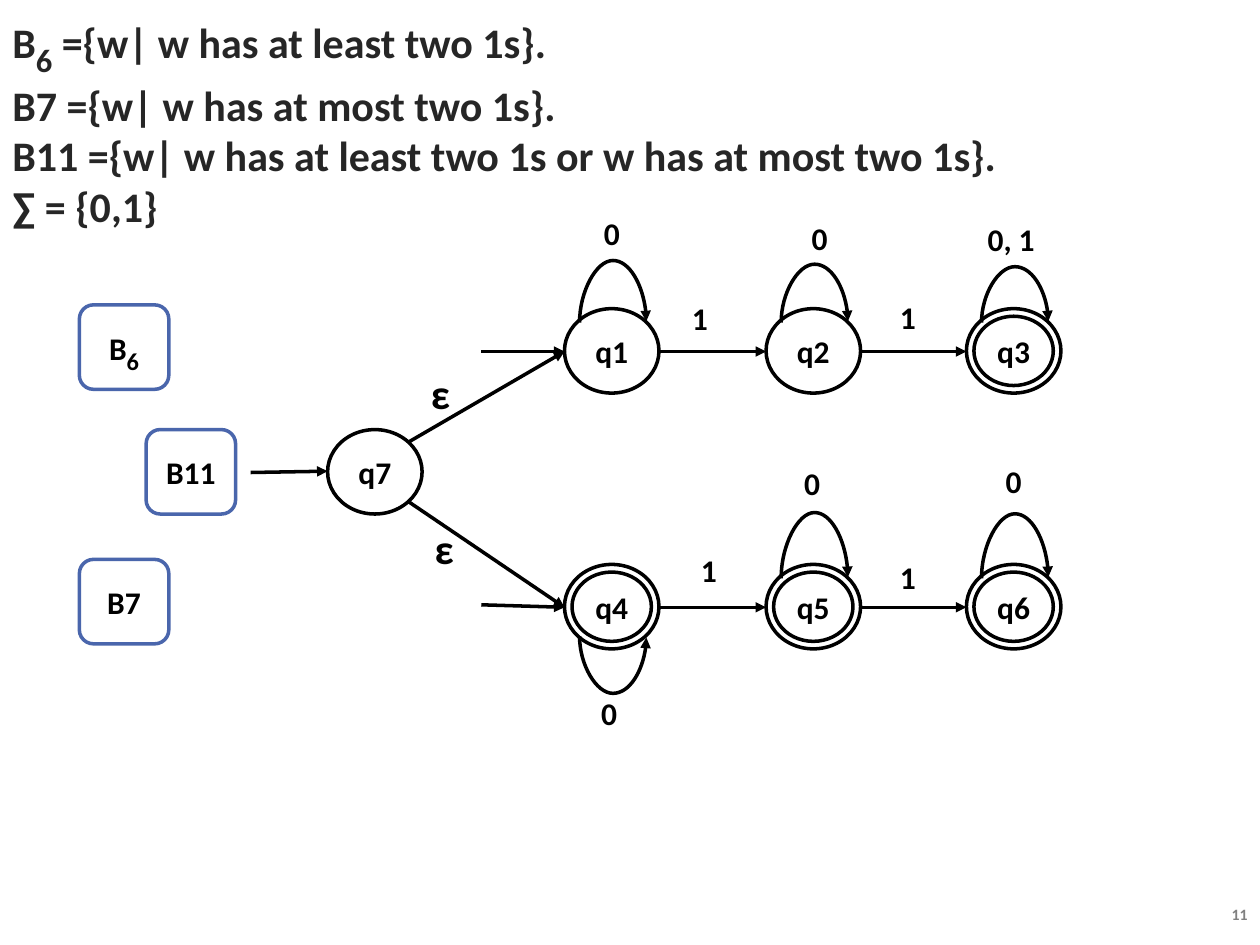
from typing import NamedTuple

from lxml import etree
from pptx import Presentation
from pptx.dml.color import RGBColor
from pptx.enum.shapes import MSO_CONNECTOR, MSO_SHAPE
from pptx.enum.text import MSO_ANCHOR, PP_ALIGN
from pptx.oxml.ns import qn
from pptx.util import Pt

PX = 9144  # 100 px to the inch
FONT = "Calibri"
BLACK, WHITE, BLUE, DARK, GREY = "000000", "FFFFFF", "4A66AC", "262626", "808080"
OVAL, ROUNDED = MSO_SHAPE.OVAL, MSO_SHAPE.ROUNDED_RECTANGLE
STRAIGHT, CURVE = MSO_CONNECTOR.STRAIGHT, MSO_CONNECTOR.CURVE
LEFT, CENTER, RIGHT = PP_ALIGN.LEFT, PP_ALIGN.CENTER, PP_ALIGN.RIGHT
MIDDLE, TOP = MSO_ANCHOR.MIDDLE, MSO_ANCHOR.TOP

STATE_W, STATE_H, RING_GAP = 75, 67, 6
COLUMNS = (448, 608, 767)
TOP_ROW, START_ROW, BOTTOM_ROW = 245, 341, 448
TOP_AXIS, BOTTOM_AXIS = 279, 482


class State(NamedTuple):
    name: str
    x: int
    y: int
    accepting: bool = False
    loop_reach: int = 0  # 0 means no loop
    loop_below: bool = False


class Machine(NamedTuple):
    name: str
    x: int
    y: int
    subscript: str = ""


class Arrow(NamedTuple):
    x1: int
    y1: int
    x2: int
    y2: int


class Label(NamedTuple):
    text: str
    x: int
    y: int
    size: int = 18


STATES = [
    State("q1", COLUMNS[0], TOP_ROW, False, 50),
    State("q2", COLUMNS[1], TOP_ROW, False, 47),
    State("q3", COLUMNS[2], TOP_ROW, True, 45),
    State("q4", COLUMNS[0], BOTTOM_ROW, True, 46, True),
    State("q5", COLUMNS[1], BOTTOM_ROW, True, 53),
    State("q6", COLUMNS[2], BOTTOM_ROW, True, 52),
    State("q7", 260, START_ROW),
]
MACHINES = [Machine("B", 63, 242, "6"), Machine("B7", 63, 444), Machine("B11", 116, 341)]
ENTRY_ARROWS = [
    Arrow(382, TOP_AXIS, COLUMNS[0], TOP_AXIS),
    Arrow(382, 480, COLUMNS[0], BOTTOM_AXIS),
    Arrow(199, 375, 260, 374),
    Arrow(324, 351, COLUMNS[0], TOP_AXIS),
    Arrow(324, 398, COLUMNS[0], BOTTOM_AXIS),
]
STEP_ARROWS = [
    Arrow(source + STATE_W, axis, target, axis)
    for axis in (TOP_AXIS, BOTTOM_AXIS)
    for source, target in zip(COLUMNS, COLUMNS[1:])
]
LABELS = [
    Label("0", 453, 162), Label("1", 523, 230), Label("0", 618, 166),
    Label("1", 688, 229), Label("0, 1", 770, 167),
    Label("0", 451, 543), Label("1", 530, 430), Label("0", 612, 361),
    Label("1", 688, 435), Label("0", 772, 359),
    Label("ε", 317, 289, 24), Label("ε", 320, 412, 24),
]
LANGUAGES = [
    "B",
    "B7 ={w| w has at most two 1s}.",
    "B11 ={w| w has at least two 1s or w has at most two 1s}.",
    "∑ = {0,1}",
]

prs = Presentation()
prs.slide_width, prs.slide_height = 1000 * PX, 750 * PX
slide = prs.slides.add_slide(prs.slide_layouts[6])


def rgb(color: str) -> RGBColor:
    return RGBColor.from_string(color)


def style_run(run, size: int, color: str = BLACK) -> None:
    run.font.name, run.font.size, run.font.bold = FONT, Pt(size), True
    run.font.color.rgb = rgb(color)


def add_run(paragraph, text: str, size: int, color: str = BLACK, subscript: bool = False) -> None:
    run = paragraph.add_run()
    run.text = text
    style_run(run, size, color)
    if subscript:
        run.font._element.set("baseline", "-25000")


def write(shape, lines: list[str], size: int, color: str = BLACK,
          align=CENTER, anchor=MIDDLE, wrap: bool = True):
    frame = shape.text_frame
    frame.text = "\n".join(lines)
    frame.word_wrap, frame.vertical_anchor = wrap, anchor
    for paragraph in frame.paragraphs:
        paragraph.alignment = align
        for run in paragraph.runs:
            style_run(run, size, color)
    return frame.paragraphs[0]


def add_outline(kind, x: int, y: int, w: int, h: int, line: str, filled: bool = True):
    shape = slide.shapes.add_shape(kind, x * PX, y * PX, w * PX, h * PX)
    shape.shadow.inherit = False
    if filled:
        shape.fill.solid()
        shape.fill.fore_color.rgb = rgb(WHITE)
    else:
        shape.fill.background()
    shape.line.color.rgb, shape.line.width = rgb(line), Pt(2)
    return shape


def add_textbox(x: int, y: int, w: int, h: int):
    return slide.shapes.add_textbox(x * PX, y * PX, w * PX, h * PX)


def add_arrow(arrow: Arrow, kind=STRAIGHT):
    connector = slide.shapes.add_connector(kind, *(length * PX for length in arrow))
    connector.line.color.rgb, connector.line.width = rgb(BLACK), Pt(2)
    etree.SubElement(connector.line._get_or_add_ln(), qn("a:tailEnd"), type="triangle")
    etree.SubElement(connector._element.spPr, qn("a:effectLst"))
    return connector


def add_loop(state: State) -> None:
    """Turn a thin curved connector so that it bulges above or below the state."""
    x, y = state.x + 38, state.y + (31 if state.loop_below else -16)
    properties = add_arrow(Arrow(x, y, x + 1, y + 53), CURVE)._element.spPr
    transform = properties.find(qn("a:xfrm"))
    transform.set("rot", str((270 if state.loop_below else 90) * 60000))
    transform.set("flipH", "1")
    if not state.loop_below:
        transform.set("flipV", "1")
    # The box is 1 px wide, so the bulge is loop_reach times its width
    guides = properties.find(qn("a:prstGeom")).find(qn("a:avLst"))
    etree.SubElement(guides, qn("a:gd"), name="adj1", fmla=f"val {state.loop_reach * 100000}")


def add_state(state: State) -> None:
    circle = add_outline(OVAL, state.x, state.y, STATE_W, STATE_H, BLACK)
    write(circle, [state.name], 18, wrap=False)
    if state.accepting:
        add_outline(OVAL, state.x + RING_GAP, state.y + RING_GAP,
                    STATE_W - 2 * RING_GAP, STATE_H - 2 * RING_GAP, BLACK, filled=False)
    if state.loop_reach:
        add_loop(state)


def add_machine(machine: Machine) -> None:
    box = add_outline(ROUNDED, machine.x, machine.y, 71, 67, BLUE)
    name = write(box, [machine.name], 18, wrap=False)
    if machine.subscript:
        add_run(name, machine.subscript, 24, subscript=True)


# Language definitions
first_language = write(add_textbox(0, 0, 910, 185), LANGUAGES, 24, DARK, LEFT)
add_run(first_language, "6", 32, DARK, subscript=True)
add_run(first_language, " ={w| w has at least two 1s}.", 24, DARK)

# Automaton
for state in STATES:
    add_state(state)
for machine in MACHINES:
    add_machine(machine)
for arrow in ENTRY_ARROWS + STEP_ARROWS:
    add_arrow(arrow)
for label in LABELS:
    write(add_textbox(label.x, label.y, 65, 45), [label.text], label.size)

# Page number
write(add_textbox(873, 713, 127, 25), ["11"], 9, GREY, RIGHT, TOP)

prs.save("out.pptx")
